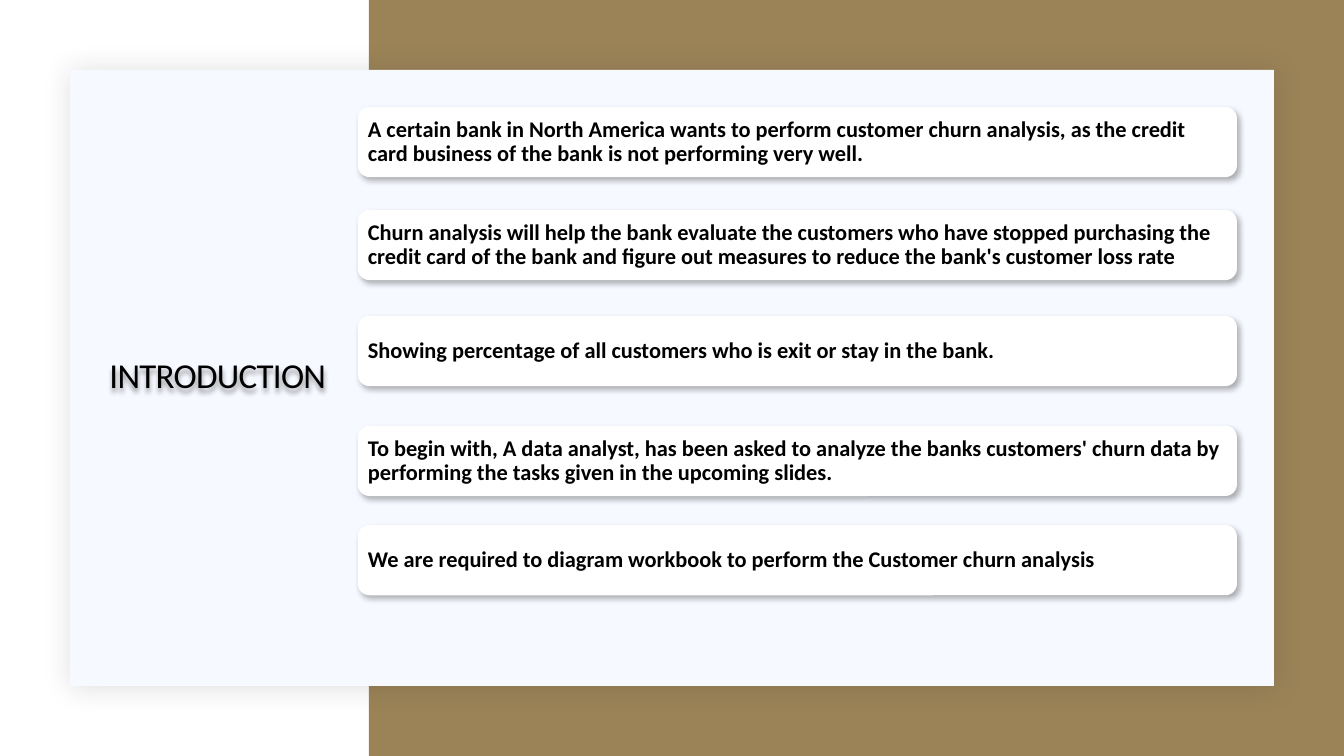
from lxml.etree import SubElement
from pptx import Presentation
from pptx.dml.color import RGBColor as Rgb
from pptx.enum.shapes import MSO_SHAPE as Shape
from pptx.enum.text import MSO_ANCHOR as Anchor, PP_ALIGN as Align
from pptx.oxml.ns import qn
from pptx.util import Pt

COLORS = {"gold": "9B8357", "panel": "F6F9FF", "card": "FFFFFF", "ink": "000000", "dusk": "1F2125"}
PANEL_SHADOW = {"color": "dusk", "alpha": 15, "blur": 20, "distance": 2, "angle": 45}
CARD_SHADOW = {"color": "ink", "alpha": 30, "blur": 4.5, "distance": 2.6, "angle": 53}
TITLE_SHADOW = {"color": "ink", "alpha": 40, "blur": 4, "distance": 3, "angle": 90}
POINTS = [
    (76.3, "A certain bank in North America wants to perform customer churn analysis, as the credit "
           "card business of the bank is not performing very well."),
    (149.9, "Churn analysis will help the bank evaluate the customers who have stopped purchasing the "
            "credit card of the bank and figure out measures to reduce the bank's customer loss rate"),
    (225.6, "Showing percentage of all customers who is exit or stay in the bank."),
    (304.1, "To begin with, A data analyst, has been asked to analyze the banks customers' churn data "
            "by performing the tasks given in the upcoming slides."),
    (375, "We are required to diagram workbook to perform the Customer churn analysis"),
]


class IntroSlide:
    """Draws styled elements on one slide, with lengths in points."""

    def __init__(self, slide, font="Calibri"):
        self.slide = slide
        self.font = font

    def color(self, name):
        return Rgb.from_string(COLORS[name])

    def shadow(self, element, color, alpha, blur, distance, angle):
        element.shadow.inherit = False
        effects = element._element.spPr.find(qn("a:effectLst"))
        outer = SubElement(effects, qn("a:outerShdw"), blurRad=str(Pt(blur)), dist=str(Pt(distance)),
                           dir=str(angle * 60000), algn="ctr", rotWithShape="0")
        tint = SubElement(outer, qn("a:srgbClr"), val=COLORS[color])
        SubElement(tint, qn("a:alpha"), val=str(alpha * 1000))

    def block(self, box, fill, shadow=None, kind=Shape.RECTANGLE):
        block = self.slide.shapes.add_shape(kind, *map(Pt, box))
        block.shadow.inherit = False
        block.fill.solid()
        block.fill.fore_color.rgb = self.color(fill)
        block.line.fill.background()
        if shadow:
            self.shadow(block, **shadow)
        return block

    def wording(self, holder, words, size, bold, align, spacing, inset):
        frame = holder.text_frame
        margins = {f"margin_{side}": Pt(inset) for side in ("left", "top", "right", "bottom")}
        for name, value in {"word_wrap": True, "vertical_anchor": Anchor.MIDDLE, **margins}.items():
            setattr(frame, name, value)
        paragraph = frame.paragraphs[0]
        paragraph.alignment = align
        paragraph.line_spacing = spacing
        run = paragraph.add_run()
        run.text = words
        for name, value in {"name": self.font, "size": Pt(size), "bold": bold}.items():
            setattr(run.font, name, value)
        run.font.color.rgb = self.color("ink")
        return run

    def title(self, box, words):
        heading = self.slide.shapes.add_textbox(*map(Pt, box))
        run = self.wording(heading, words, 25, False, Align.CENTER, 0.85, 3.6)
        run.font._element.set("spc", "-50")
        self.shadow(heading, **TITLE_SHADOW)

    def card(self, box, words):
        card = self.block(box, "card", CARD_SHADOW, Shape.ROUNDED_RECTANGLE)
        self.wording(card, words, 16, True, Align.LEFT, 0.9, 4.8)


def main():
    deck = Presentation()
    deck.slide_width, deck.slide_height = Pt(960), Pt(540)
    intro = IntroSlide(deck.slides.add_slide(deck.slide_layouts[6]))
    intro.block((263.5, 0, 696.5, 540), "gold")
    intro.block((50, 50, 860, 440), "panel", PANEL_SHADOW)
    intro.title((56.2, 247, 198.7, 46), "INTRODUCTION")
    for top, words in POINTS:
        intro.card((255.6, top, 628, 50.2), words)
    deck.save("out.pptx")


if __name__ == "__main__":
    main()
